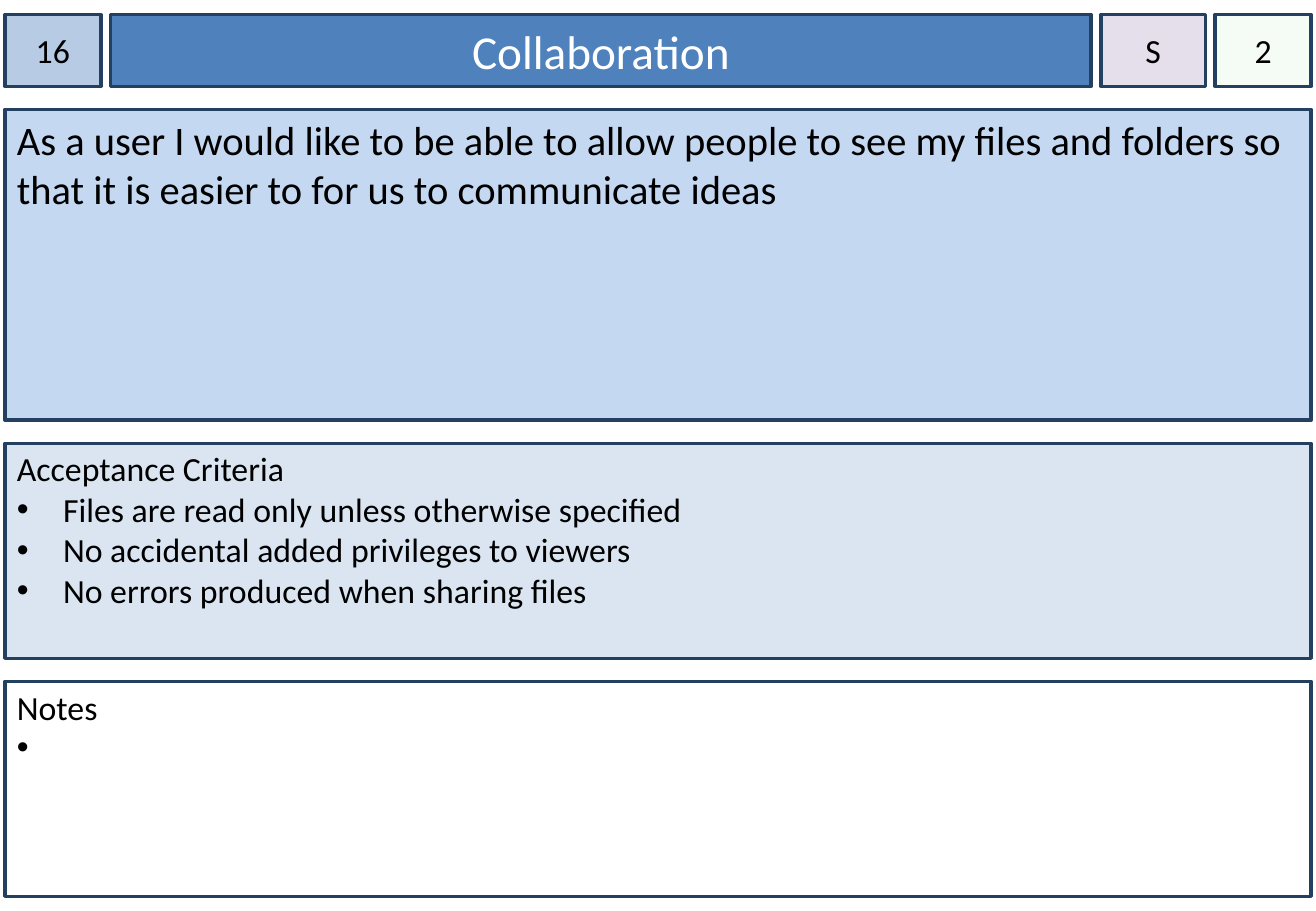
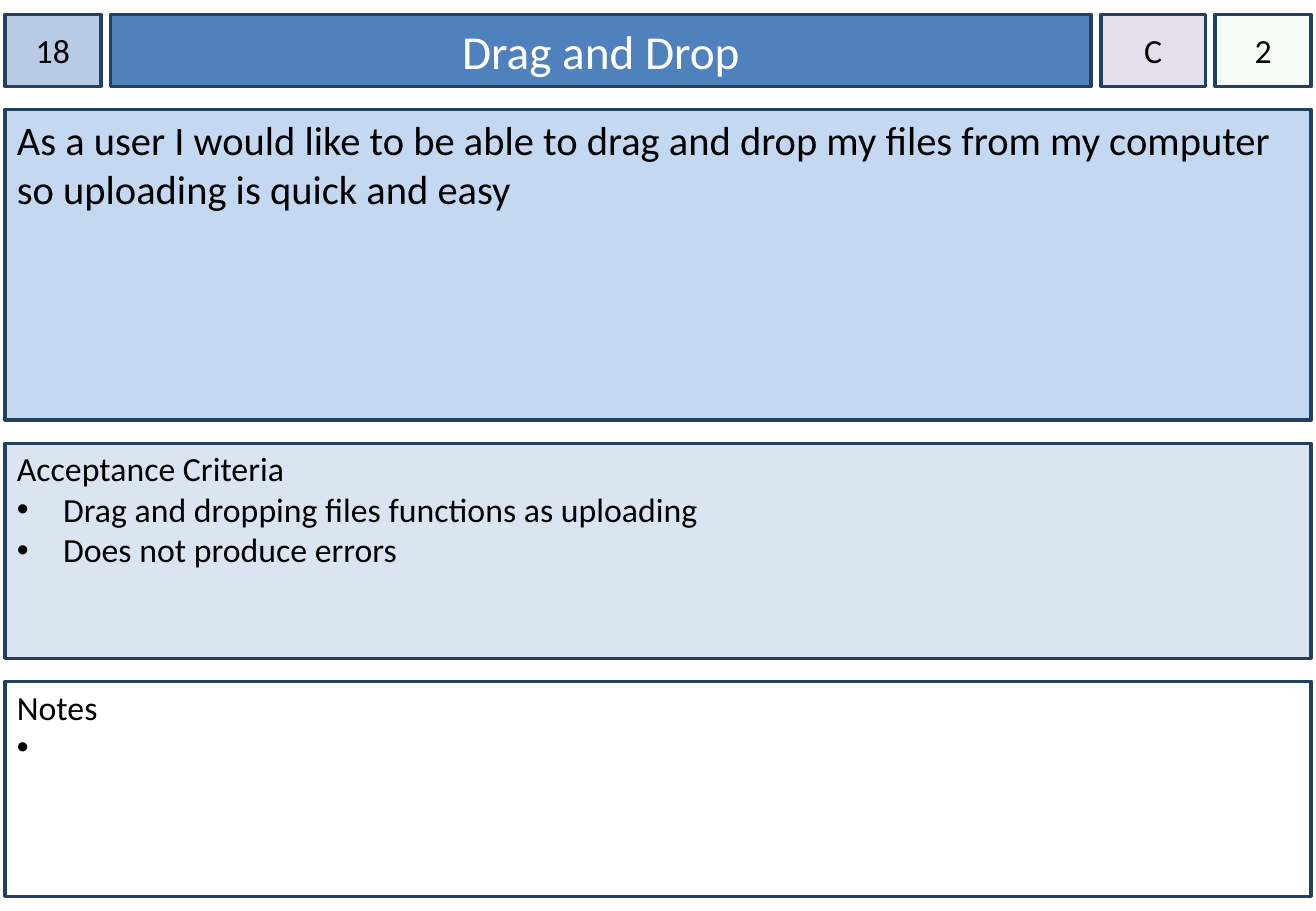
from dataclasses import dataclass

from lxml.etree import SubElement
from pptx import Presentation
from pptx.dml.color import RGBColor
from pptx.enum.shapes import MSO_SHAPE
from pptx.enum.text import MSO_ANCHOR, MSO_AUTO_SIZE, PP_ALIGN
from pptx.oxml.ns import qn
from pptx.shapes.autoshape import Shape
from pptx.slide import Slide
from pptx.text.text import _Paragraph
from pptx.util import Inches, Pt

# Colours and font
NAVY = RGBColor(0x24, 0x40, 0x61)
BLUE = RGBColor(0x4F, 0x81, 0xBD)
NUMBER_BLUE = RGBColor(0xB7, 0xCC, 0xE4)
STORY_BLUE = RGBColor(0xC5, 0xD8, 0xF1)
CRITERIA_BLUE = RGBColor(0xDA, 0xE5, 0xF1)
LILAC = RGBColor(0xE5, 0xDF, 0xEC)
GREEN = RGBColor(0xCC, 0xF0, 0xCD)
WHITE = RGBColor(0xFF, 0xFF, 0xFF)
BLACK = RGBColor(0x00, 0x00, 0x00)
FONT = "Calibri"

# Card grid, in inches
LEFT, TOP, WIDTH = 0.04, 0.12, 10.75
HEADER_HEIGHT, HEADER_GAP, ROW_GAP = 0.59, 0.08, 0.19


@dataclass(frozen=True)
class BoxStyle:
    """Look of one box; size is its width in the header, its height below."""
    size: float
    fill: RGBColor
    points: int = 20
    color: RGBColor = BLACK
    centred: bool = False
    side_inset: float = 0.1
    top_inset: float = 0.05
    indent: float = 0.0
    opacity: int = 100


@dataclass(frozen=True)
class Story:
    number: str
    title: str
    priority: str
    points: str
    text: str
    criteria: tuple[str, ...]


NUMBER = BoxStyle(0.79, NUMBER_BLUE, centred=True, side_inset=0)
TITLE = BoxStyle(8.07, BLUE, points=28, color=WHITE, centred=True)
PRIORITY = BoxStyle(0.86, LILAC, centred=True, side_inset=0)
ESTIMATE = BoxStyle(0.79, GREEN, centred=True, side_inset=0, opacity=20)
STORY = BoxStyle(2.56, STORY_BLUE, points=24)
CRITERIA = BoxStyle(1.77, CRITERIA_BLUE, top_inset=0.04, indent=0.38)
NOTES = BoxStyle(1.77, WHITE, top_inset=0.04, indent=0.2)

STORIES = (
    Story("16", "Collaboration", "S", "2",
          "As a user I would like to be able to allow people to see my files "
          "and folders so that it is easier to for us to communicate ideas",
          ("Files are read only unless otherwise specified",
           "No accidental added privileges to viewers",
           "No errors produced when sharing files")),
    Story("18", "Drag and Drop", "C", "2",
          "As a user I would like to be able to drag and drop my files from "
          "my computer so uploading is quick and easy",
          ("Drag and dropping files functions as uploading",
           "Does not produce errors")),
)


def add_bullet(p: _Paragraph, indent: float) -> None:
    pPr = p._p.get_or_add_pPr()
    pPr.set("marL", str(Inches(indent)))
    pPr.set("indent", str(-Inches(indent)))
    SubElement(pPr, qn("a:buFont"), typeface="Arial")
    SubElement(pPr, qn("a:buChar"), char="•")


def format_box(sp: Shape, style: BoxStyle) -> None:
    sp.shadow.inherit = False
    sp.fill.solid()
    sp.fill.fore_color.rgb = style.fill
    if style.opacity < 100:
        color = sp._element.spPr.find(qn("a:solidFill"))[0]
        SubElement(color, qn("a:alpha"), val=str(style.opacity * 1000))
    sp.line.color.rgb = NAVY
    sp.line.width = Pt(2)


def write_lines(sp: Shape, style: BoxStyle, lines: tuple[str, ...]) -> None:
    """Write the first line plain and the others as bullets."""
    tf = sp.text_frame
    frame_format = {
        "word_wrap": True,
        "auto_size": MSO_AUTO_SIZE.NONE,
        "vertical_anchor": MSO_ANCHOR.MIDDLE if style.centred else MSO_ANCHOR.TOP,
        "margin_left": Inches(style.side_inset),
        "margin_right": Inches(style.side_inset),
        "margin_top": Inches(style.top_inset),
        "margin_bottom": Inches(0.05),
    }
    for name, value in frame_format.items():
        setattr(tf, name, value)
    for i, line in enumerate(lines):
        p = tf.add_paragraph() if i else tf.paragraphs[0]
        p.alignment = PP_ALIGN.CENTER if style.centred else PP_ALIGN.LEFT
        if i:
            add_bullet(p, style.indent)
        r = p.add_run()
        r.text = line
        for name, value in {"name": FONT, "size": Pt(style.points)}.items():
            setattr(r.font, name, value)
        r.font.color.rgb = style.color


def add_box(slide: Slide, style: BoxStyle, lines: tuple[str, ...],
            left: float, top: float, width: float, height: float) -> None:
    box = [Inches(v) for v in (left, top, width, height)]
    if style is TITLE:
        sp = slide.shapes.title
        for name, value in zip(("left", "top", "width", "height"), box):
            setattr(sp, name, value)
    else:
        sp = slide.shapes.add_shape(MSO_SHAPE.RECTANGLE, *box)
    format_box(sp, style)
    write_lines(sp, style, lines)


def add_card(prs: Presentation, story: Story) -> None:
    slide = prs.slides.add_slide(prs.slide_layouts[5])

    # Header row, left to right
    left = LEFT
    for style, text in ((NUMBER, story.number), (TITLE, story.title),
                        (PRIORITY, story.priority), (ESTIMATE, story.points)):
        add_box(slide, style, (text,), left, TOP, style.size, HEADER_HEIGHT)
        left += style.size + HEADER_GAP

    # Panels, top to bottom
    top = TOP + HEADER_HEIGHT + ROW_GAP
    for style, lines in ((STORY, (story.text,)),
                         (CRITERIA, ("Acceptance Criteria", *story.criteria)),
                         (NOTES, ("Notes", " "))):
        add_box(slide, style, lines, LEFT, top, WIDTH, style.size)
        top += style.size + ROW_GAP


def main() -> None:
    prs = Presentation()
    prs.slide_width, prs.slide_height = Inches(10.83), Inches(7.5)
    for story in STORIES:
        add_card(prs, story)
    prs.save("out.pptx")


if __name__ == "__main__":
    main()
